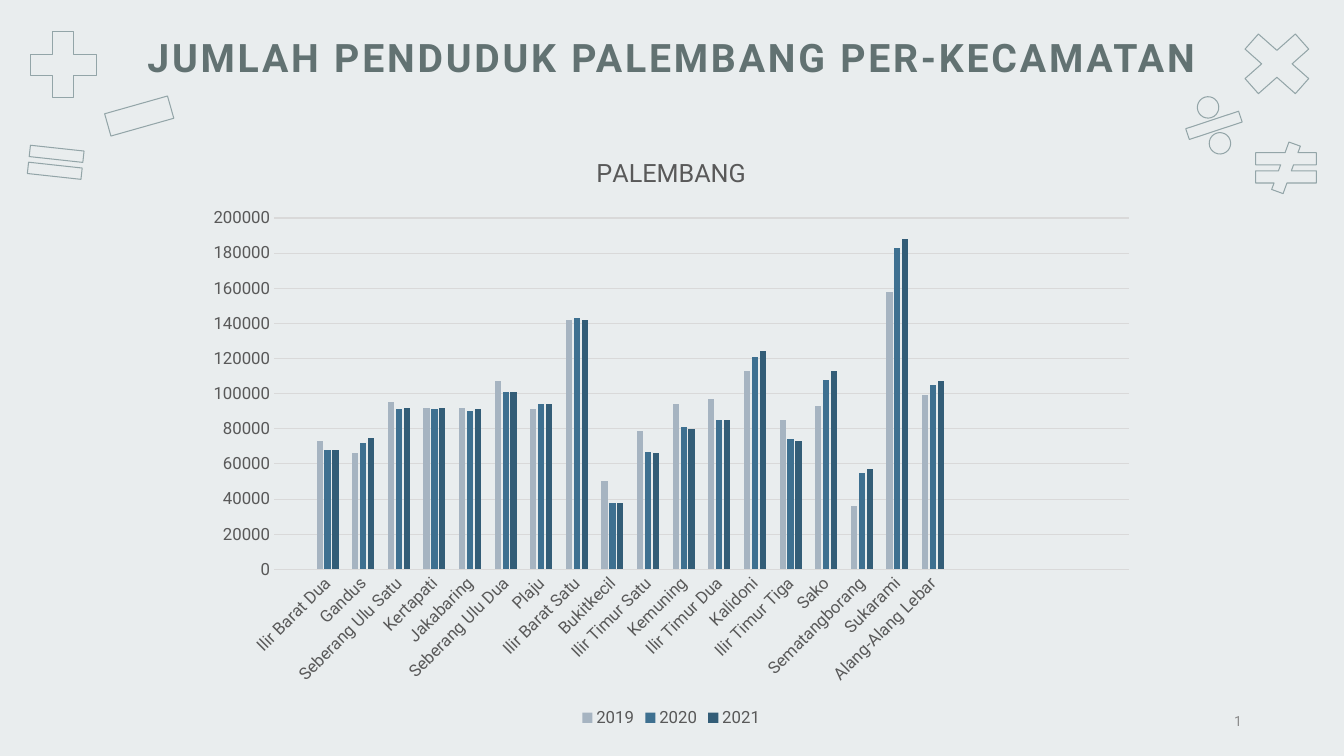
"""Build the slide on the population of Palembang by district."""
import pptx
import pptx.chart.data
import pptx.dml.color
import pptx.enum.chart
import pptx.enum.shapes
import pptx.enum.text
import pptx.oxml
import pptx.oxml.ns
import pptx.util

Cm, Pt = pptx.util.Cm, pptx.util.Pt
KIND = pptx.enum.shapes.MSO_SHAPE
ALIGN = pptx.enum.text.PP_ALIGN
ANCHOR = pptx.enum.text.MSO_ANCHOR
ENUM = pptx.enum.chart

THEME = {
    "font": "Roboto",
    "back": "E9EDEE", "head": "627272", "page": "8C8C8C",
    "label": "595959", "grid": "D9D9D9", "sign": "93A5A8",
    "bars": ["A6B4C1", "3E7090", "335D77"],
    "head_size": 28, "name_size": 18, "label_size": 12, "page_size": 10,
    "line": 0.75,
}

SIZE = (33.87, 19.05)
HEAD = "JUMLAH PENDUDUK PALEMBANG PER-KECAMATAN"
HEAD_BOX = (3.07, 0.84, 27.71, 1.57)
PAGE = "1"
PAGE_BOX = (23.93, 17.65, 7.62, 1.02)
NAME = "PALEMBANG"
CHART_BOX = (4.9, 3.38, 24.03, 15.06)
YEARS = ["2019", "2020", "2021"]
ROWS = [
    ("Ilir Barat Dua", 73000, 68000, 68000),
    ("Gandus", 66000, 72000, 75000),
    ("Seberang Ulu Satu", 95000, 91000, 92000),
    ("Kertapati", 92000, 91000, 92000),
    ("Jakabaring", 92000, 90000, 91000),
    ("Seberang Ulu Dua", 107000, 101000, 101000),
    ("Plaju", 91000, 94000, 94000),
    ("Ilir Barat Satu", 142000, 143000, 142000),
    ("Bukitkecil", 50000, 38000, 38000),
    ("Ilir Timur Satu", 79000, 67000, 66000),
    ("Kemuning", 94000, 81000, 80000),
    ("Ilir Timur Dua", 97000, 85000, 85000),
    ("Kalidoni", 113000, 121000, 124000),
    ("Ilir Timur Tiga", 85000, 74000, 73000),
    ("Sako", 93000, 108000, 113000),
    ("Sematangborang", 36000, 55000, 57000),
    ("Sukarami", 158000, 183000, 188000),
    ("Alang-Alang Lebar", 99000, 105000, 107000),
]
GAP_ROW = ("", None, None, None)
LEAD, TAIL = 1, 5
SIGNS = [
    (KIND.MATH_PLUS, (0.48, 0.51, 2.24, 2.24), 0, []),
    (KIND.MATH_MINUS, (2.39, 2.39, 2.24, 1.07), 344.2, [0.544]),
    (KIND.MATH_MULTIPLY, (30.96, 0.53, 2.44, 2.16), 0, []),
    (KIND.MATH_DIVIDE, (29.64, 2.08, 1.91, 2.16), 341.7, [0.133, 0.029, 0.125]),
    (KIND.MATH_EQUAL, (0.48, 3.48, 1.85, 1.22), 6.2, []),
    (KIND.MATH_NOT_EQUAL, (31.37, 3.58, 2.08, 1.3), 0, []),
]


def place(box):
    return [Cm(side) for side in box]


def tint(name):
    return pptx.dml.color.RGBColor.from_string(name)


def style(font, size, color, bold=False):
    font.name, font.size, font.bold = THEME["font"], Pt(size), bold
    font.color.rgb = tint(color)


def rule(line, color):
    line.color.rgb = tint(color)
    line.width = Pt(THEME["line"])


def add_text(slide, box, text, size, color, align, anchor, space, bold=False):
    frame = slide.shapes.add_textbox(*place(box)).text_frame
    frame.word_wrap = True
    frame.vertical_anchor = anchor
    para = frame.paragraphs[0]
    para.alignment = align
    para.line_spacing = 0.9 if bold else 1.0
    run = para.add_run()
    run.text = text
    style(run.font, size, color, bold)
    run.font._element.set("spc", str(int(space * 100)))


def add_sign(slide, kind, box, turn, bends):
    sign = slide.shapes.add_shape(kind, *place(box))
    sign.shadow.inherit = False
    sign.fill.background()
    rule(sign.line, THEME["sign"])
    sign.rotation = turn
    for spot, bend in enumerate(bends):
        sign.adjustments[spot] = bend


def add_graph(slide):
    rows = [GAP_ROW] * LEAD + ROWS + [GAP_ROW] * TAIL
    names, *sets = zip(*rows)
    data = pptx.chart.data.CategoryChartData(number_format="General")
    data.categories = names
    for year, vals in zip(YEARS, sets):
        data.add_series(year, vals)
    chart = slide.shapes.add_chart(
        ENUM.XL_CHART_TYPE.COLUMN_CLUSTERED, *place(CHART_BOX), data).chart
    small, gray = THEME["label_size"], THEME["label"]
    style(chart.font, small, gray)

    chart.has_title = True
    run = chart.chart_title.text_frame.paragraphs[0].add_run()
    run.text = NAME
    style(run.font, THEME["name_size"], gray)
    chart.chart_title.include_in_layout = False

    chart.has_legend = True
    chart.legend.position = ENUM.XL_LEGEND_POSITION.BOTTOM
    chart.legend.include_in_layout = False
    style(chart.legend.font, small, gray)

    plot = chart.plots[0]
    plot.gap_width, plot.overlap = 219, -27
    plot.vary_by_categories = False
    for bar, color in zip(plot.series, THEME["bars"]):
        bar.format.fill.solid()
        bar.format.fill.fore_color.rgb = tint(color)
        bar.invert_if_negative = False

    base, scale = chart.category_axis, chart.value_axis
    for axis in (base, scale):
        axis.major_tick_mark = axis.minor_tick_mark = ENUM.XL_TICK_MARK.NONE
        style(axis.tick_labels.font, small, gray)
    rule(base.format.line, THEME["grid"])
    body = base._element.find(".//" + pptx.oxml.ns.qn("a:bodyPr"))
    body.set("rot", "-2700000")
    body.set("vert", "horz")
    scale.minimum_scale, scale.maximum_scale = 0, 200000
    scale.major_unit = 20000
    scale.format.line.fill.background()
    scale.has_major_gridlines = True
    rule(scale.major_gridlines.format.line, THEME["grid"])


def main():
    deck = pptx.Presentation()
    deck.slide_width, deck.slide_height = place(SIZE)
    slide = deck.slides.add_slide(deck.slide_layouts[6])
    slide.background.fill.solid()
    slide.background.fill.fore_color.rgb = tint(THEME["back"])
    add_text(slide, HEAD_BOX, HEAD, THEME["head_size"], THEME["head"],
             ALIGN.CENTER, ANCHOR.TOP, 2, True)
    add_text(slide, PAGE_BOX, PAGE, THEME["page_size"], THEME["page"],
             ALIGN.RIGHT, ANCHOR.MIDDLE, 1.5)
    add_graph(slide)
    for sign in SIGNS:
        add_sign(slide, *sign)
    deck.save("out.pptx")


if __name__ == "__main__":
    main()
